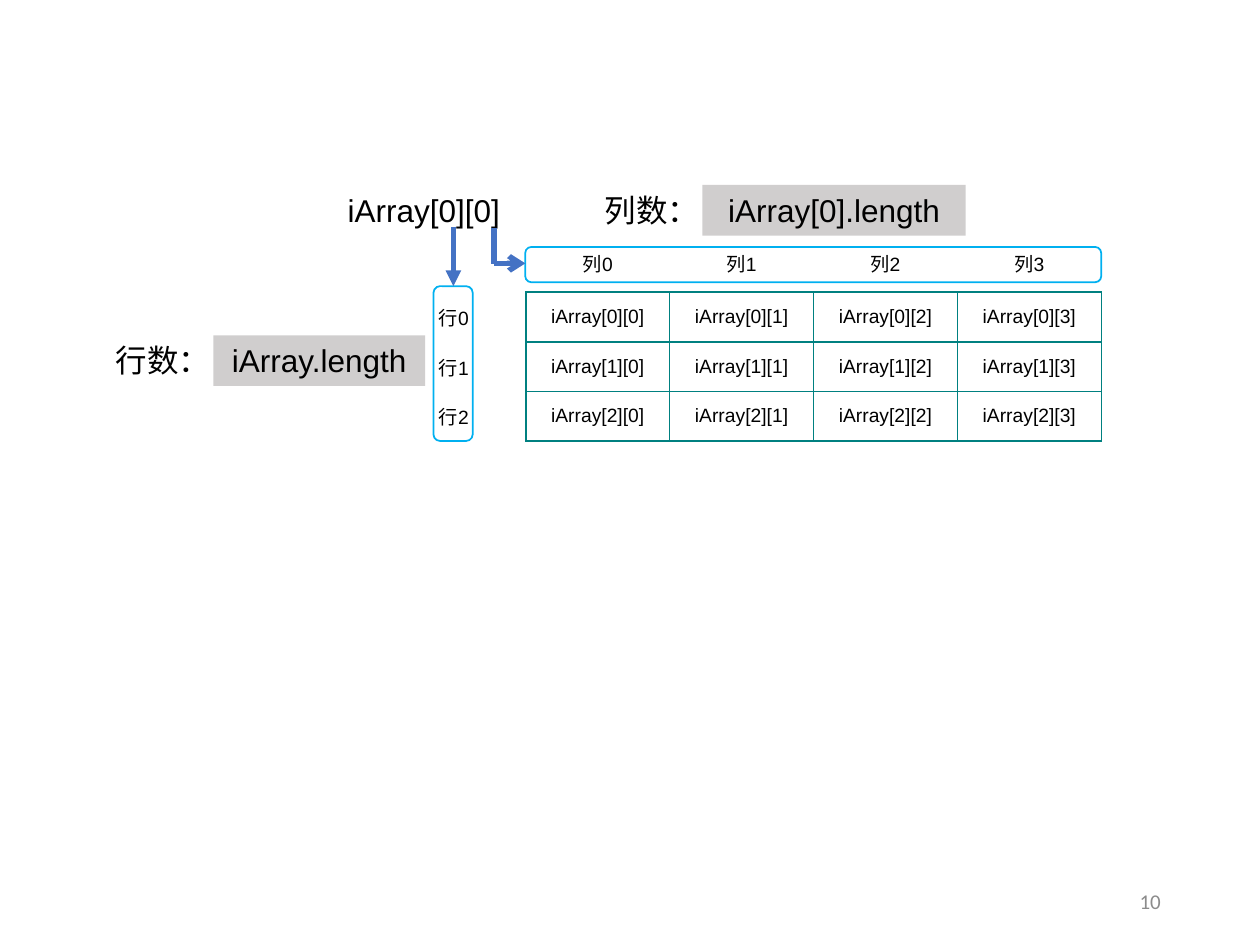
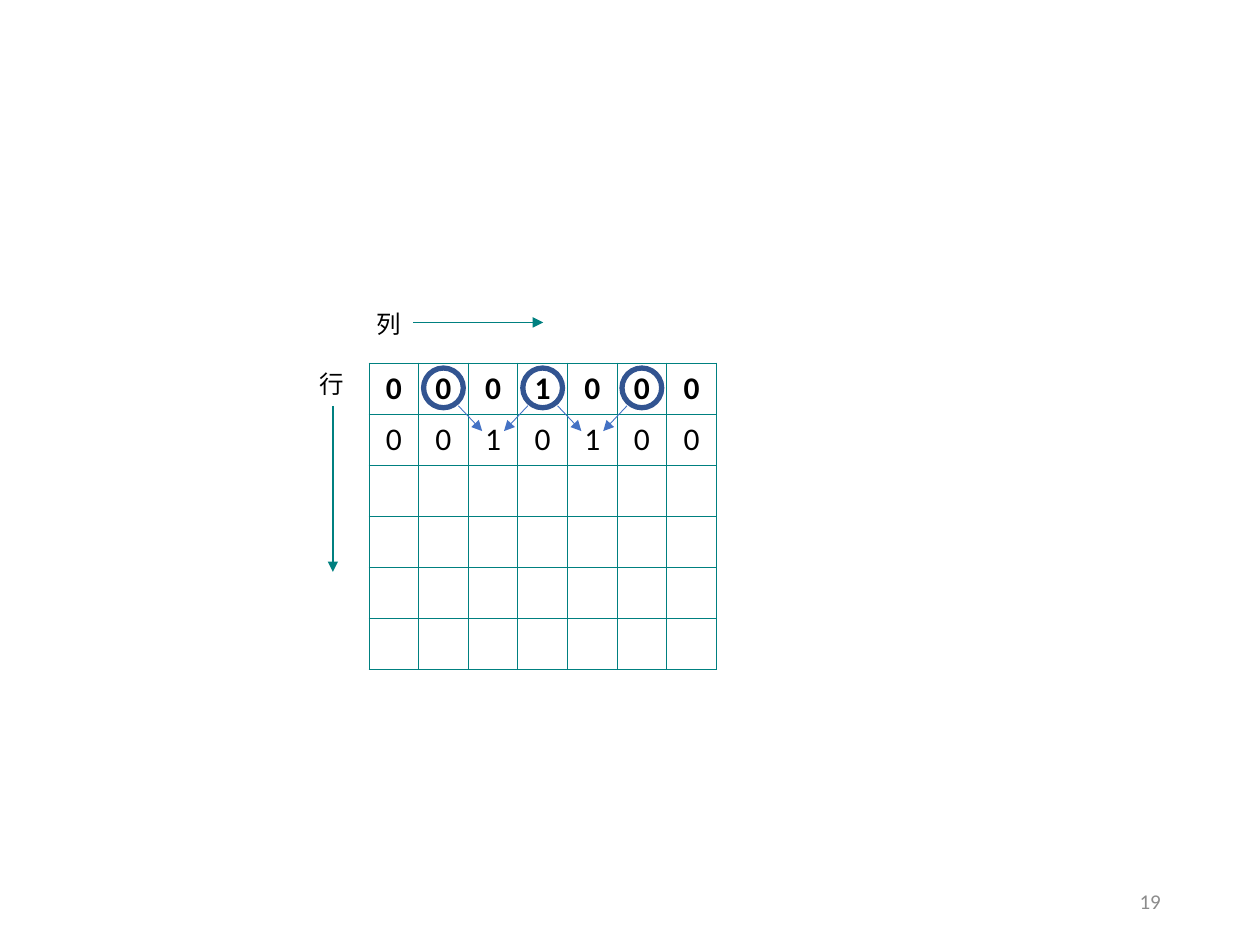
from lxml import etree
from pptx import Presentation
from pptx.dml.color import RGBColor
from pptx.enum import shapes, text
from pptx.oxml import ns
from pptx.util import Cm, Pt

BLACK, GREY, NUMBER_GREY = "000000", "D0CECE", "8C8C8C"
TEAL, CYAN, BLUE, DARK_BLUE = "008080", "00B0F0", "4472C4", "325491"
LEFT, CENTER, RIGHT = text.PP_ALIGN.LEFT, text.PP_ALIGN.CENTER, text.PP_ALIGN.RIGHT
TOP, MIDDLE = text.MSO_ANCHOR.TOP, text.MSO_ANCHOR.MIDDLE
SHAPE = shapes.MSO_SHAPE
EDGES = "LRTB"


def color(value):
    """Turn a hex string into a colour."""
    return RGBColor.from_string(value)


def style_paragraph(paragraph, size, font, align, ink=BLACK, bold=False):
    """Set alignment and font of a whole paragraph."""
    paragraph.alignment = align
    paragraph.font.size = Pt(size)
    paragraph.font.name = font
    paragraph.font.bold = bold
    paragraph.font.color.rgb = color(ink)


def fill_text(shape, words, size, font, align=LEFT, ink=BLACK, wrap=True, anchor=TOP):
    """Write one paragraph into a shape."""
    frame = shape.text_frame
    frame.word_wrap = wrap
    frame.vertical_anchor = anchor
    frame.text = words
    style_paragraph(frame.paragraphs[0], size, font, align, ink)


def add_label(slide, box, words, size, font, **options):
    """Add a text box."""
    shape = slide.shapes.add_textbox(*map(Cm, box))
    fill_text(shape, words, size, font, **options)


def add_shape(slide, kind, box, fill=None, line=None, width=1):
    """Add a preset shape with an optional fill and outline."""
    shape = slide.shapes.add_shape(kind, *map(Cm, box))
    shape.shadow.inherit = False
    if fill:
        shape.fill.solid()
        shape.fill.fore_color.rgb = color(fill)
    else:
        shape.fill.background()
    if line:
        shape.line.color.rgb = color(line)
        shape.line.width = Pt(width)
    else:
        shape.line.fill.background()
    return shape


def add_line(slide, start, end, ink, width, head="triangle"):
    """Add a straight line, with an arrowhead at its end unless head is None."""
    connector = slide.shapes.add_connector(
        shapes.MSO_CONNECTOR.STRAIGHT, *map(Cm, start + end))
    connector.line.color.rgb = color(ink)
    connector.line.width = Pt(width)
    if head:
        etree.SubElement(connector.line._get_or_add_ln(), ns.qn("a:tailEnd"), type=head)
    etree.SubElement(connector._element.spPr, ns.qn("a:effectLst"))


def set_borders(cell, edges, width):
    """Draw the named edges of a cell in teal and clear the others."""
    properties = cell._tc.get_or_add_tcPr()
    for edge in EDGES:
        line = etree.SubElement(properties, ns.qn(f"a:ln{edge}"), w=str(Pt(width)))
        if edge in edges:
            solid = etree.SubElement(line, ns.qn("a:solidFill"))
            etree.SubElement(solid, ns.qn("a:srgbClr"), val=TEAL)
        else:
            etree.SubElement(line, ns.qn("a:noFill"))


def add_grid(slide, corner, column_width, row_heights, rows, size, font, width,
             edges=lambda row, column: EDGES, bold_rows=()):
    """Add an unfilled table; edges(row, column) names the borders of a cell."""
    columns = len(rows[0])
    left, top = corner
    table = slide.shapes.add_table(
        len(rows), columns, Cm(left), Cm(top),
        Cm(column_width * columns), Cm(sum(row_heights))).table
    table.first_row = table.horz_banding = False
    for column in table.columns:
        column.width = Cm(column_width)
    for r, words in enumerate(rows):
        table.rows[r].height = Cm(row_heights[r])
        for c, word in enumerate(words):
            cell = table.cell(r, c)
            set_borders(cell, edges(r, c), width)
            cell.fill.background()
            cell.vertical_anchor = MIDDLE
            cell.margin_top = cell.margin_bottom = Cm(0.1)
            cell.text = word
            style_paragraph(cell.text_frame.paragraphs[0], size, font, CENTER,
                            bold=r in bold_rows)


def add_slide(presentation, number):
    """Add a blank slide with its number at the bottom right."""
    slide = presentation.slides.add_slide(presentation.slide_layouts[6])
    add_label(slide, (17.93, 17.65, 5.72, 1.02), number, 12, "Calibri",
              align=RIGHT, ink=NUMBER_GREY, anchor=MIDDLE)
    return slide


def index_edges(row, column):
    """Borders for a grid whose first row and column hold headings."""
    if row and column:
        return EDGES
    if row:
        return "R"
    return "B" if column else ""


def build_index_slide(presentation):
    """Show how rows and columns of a two-dimensional array are indexed."""
    slide = add_slide(presentation, "10")
    rows = [[""] + [f"列{c}" for c in range(4)]]
    rows += [[f"行{r}"] + [f"iArray[{r}][{c}]" for c in range(4)] for r in range(3)]
    add_grid(slide, (7.7, 4.72), 2.9, [1.17, 1, 1, 1], rows, 11, "Arial", 1, index_edges)
    add_label(slide, (6.76, 3.73, 12.7, 1.02), "iArray[0][0]", 18, "Arial")
    for box in [(8.74, 5.77, 0.79, 3.12), (10.59, 4.98, 11.61, 0.71)]:
        add_shape(slide, SHAPE.ROUNDED_RECTANGLE, box, line=CYAN)
    add_line(slide, (9.14, 4.57), (9.14, 5.77), BLUE, 3)
    add_line(slide, (9.96, 4.6), (9.96, 5.33), BLUE, 3, head=None)
    add_line(slide, (9.96, 5.31), (10.59, 5.31), BLUE, 3, head="arrow")
    counts = [("列数：", "iArray[0].length", 11.94, 3.73, 5.31),
              ("行数：", "iArray.length", 2.08, 6.76, 4.27)]
    for caption, code, left, top, width in counts:
        add_label(slide, (left, top, 2.44, 1.02), caption, 18, "Arial", wrap=False)
        box = add_shape(slide, SHAPE.RECTANGLE, (left + 2.22, top, width, 1.02), fill=GREY)
        fill_text(box, code, 18, "Arial", align=CENTER)


def build_sum_slide(presentation):
    """Show how neighbours in one row give the values of the next row."""
    slide = add_slide(presentation, "19")
    left, top, column_width, row_height = 7.44, 7.32, 1, 1.03
    rows = [list("0001000"), list("0010100")] + [[""] * 7] * 4
    add_grid(slide, (left, top), column_width, [row_height] * 6, rows,
             18, "Calibri", 0.5, bold_rows=(0,))
    add_line(slide, (6.71, 8.18), (6.71, 11.53), TEAL, 1)
    add_line(slide, (8.33, 6.5), (10.95, 6.5), TEAL, 1)
    for word, x, y in [("列", 7.34, 6.1), ("行", 6.2, 7.32)]:
        add_label(slide, (x, y, 1.02, 0.86), word, 14, "Calibri", wrap=False)
    for column in (2, 4):
        center = left + (column + 0.5) * column_width
        for side in (-1, 1):
            add_line(slide, (center + side * 0.7, 8.18), (center + side * 0.22, 8.69),
                     BLUE, 0.5)
    diameter = 0.8
    for column in (1, 3, 5):
        center = left + (column + 0.5) * column_width
        add_shape(slide, SHAPE.OVAL, (center - diameter / 2, top + 0.1, diameter, diameter),
                  line=DARK_BLUE, width=3)


def main():
    """Build and save the presentation."""
    presentation = Presentation()
    presentation.slide_width, presentation.slide_height = Cm(25.4), Cm(19.05)
    build_index_slide(presentation)
    build_sum_slide(presentation)
    presentation.save("out.pptx")


main()
